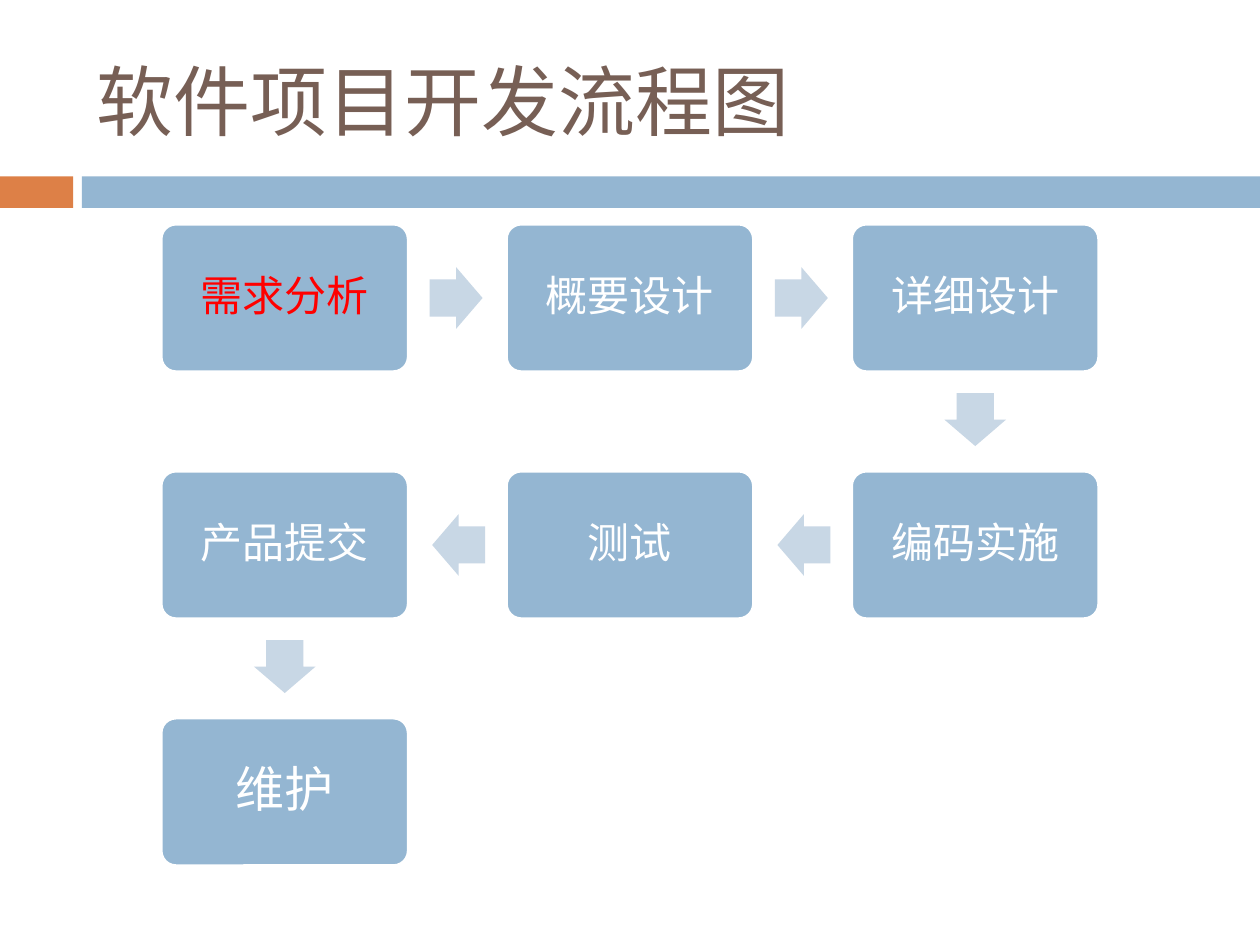
from dataclasses import dataclass
from itertools import pairwise

from pptx import Presentation
from pptx.dml.color import RGBColor
from pptx.enum.shapes import MSO_SHAPE
from pptx.enum.text import MSO_ANCHOR, PP_ALIGN
from pptx.util import Inches, Pt


@dataclass(frozen=True)
class Theme:
    font: str = "Calibri"
    blue: str = "94B6D2"
    pale: str = "C8D7E5"
    orange: str = "DD8047"
    brown: str = "775F55"
    white: str = "FFFFFF"
    red: str = "FF0000"
    title: int = 44
    body: int = 24
    large: int = 28


@dataclass(frozen=True)
class Grid:
    """Boxes in rows that run right, then left, and so on."""
    cols: int = 3
    left: float = 1.28
    top: float = 1.78
    wide: float = 1.96
    high: float = 1.17
    step_x: float = 2.74
    step_y: float = 1.96

    def cell(self, index):
        row, col = divmod(index, self.cols)
        return (self.cols - 1 - col if row % 2 else col), row

    def center(self, col, row):
        return (self.left + col * self.step_x + self.wide / 2,
                self.top + row * self.step_y + self.high / 2)


class Board:
    def __init__(self, slide, theme, grid):
        self.slide, self.theme, self.grid = slide, theme, grid

    def shape(self, kind, x, y, w, h, fill):
        item = self.slide.shapes.add_shape(kind, *map(Inches, (x, y, w, h)))
        item.shadow.inherit = False
        item.fill.solid()
        item.fill.fore_color.rgb = RGBColor.from_string(fill)
        item.line.fill.background()
        return item

    def label(self, item, text, size, color):
        frame = item.text_frame
        frame.word_wrap = True
        frame.vertical_anchor = MSO_ANCHOR.MIDDLE
        para = frame.paragraphs[0]
        para.text = text
        para.font.name = self.theme.font
        para.font.size = Pt(size)
        para.font.color.rgb = RGBColor.from_string(color)
        return para

    def title(self, text):
        box = self.slide.shapes.add_textbox(*map(Inches, (0.67, 0.25, 8.92, 1.08)))
        self.label(box, text, self.theme.title, self.theme.brown)

    def band(self, x, w, fill):
        self.shape(MSO_SHAPE.RECTANGLE, x, 1.4, w, 0.25, fill)

    def step(self, index, text, size, color):
        grid = self.grid
        x, y = grid.center(*grid.cell(index))
        box = self.shape(MSO_SHAPE.ROUNDED_RECTANGLE, x - grid.wide / 2,
                         y - grid.high / 2, grid.wide, grid.high, self.theme.blue)
        box.adjustments[0] = 0.1
        box.line.color.rgb = RGBColor.from_string(self.theme.white)
        box.line.width = Pt(1.5)
        para = self.label(box, text, size, color)
        para.alignment = PP_ALIGN.CENTER
        para.line_spacing = 0.9
        para.space_after = Pt(0.35 * size)

    def arrow(self, start, end):
        grid, gap, w, h = self.grid, 0.38, 0.42, 0.49
        dx, dy = end[0] - start[0], end[1] - start[1]
        x, y = grid.center(*start)
        x += dx * (grid.wide / 2 + gap)
        y += dy * (grid.high / 2 + gap)
        item = self.shape(MSO_SHAPE.RIGHT_ARROW, x - w / 2, y - h / 2, w, h,
                          self.theme.pale)
        item.adjustments[0], item.adjustments[1] = 0.6, 0.5
        item.rotation = 90 if dy else 180 if dx < 0 else 0


def main():
    deck = Presentation()
    deck.slide_width, deck.slide_height = Inches(10), Inches(7.5)
    theme, grid = Theme(), Grid()
    board = Board(deck.slides.add_slide(deck.slide_layouts[6]), theme, grid)

    # Header
    board.band(0, 0.58, theme.orange)
    board.band(0.65, 9.35, theme.blue)
    board.title("软件项目开发流程图")

    # Steps: the first is marked, the last is larger
    steps = ["需求分析", "概要设计", "详细设计", "编码实施", "测试", "产品提交", "维护"]
    for i, text in enumerate(steps):
        size = theme.large if i == len(steps) - 1 else theme.body
        board.step(i, text, size, theme.white if i else theme.red)

    # Arrows from each step to the next
    for start, end in pairwise(map(grid.cell, range(len(steps)))):
        board.arrow(start, end)

    deck.save("out.pptx")


if __name__ == "__main__":
    main()
